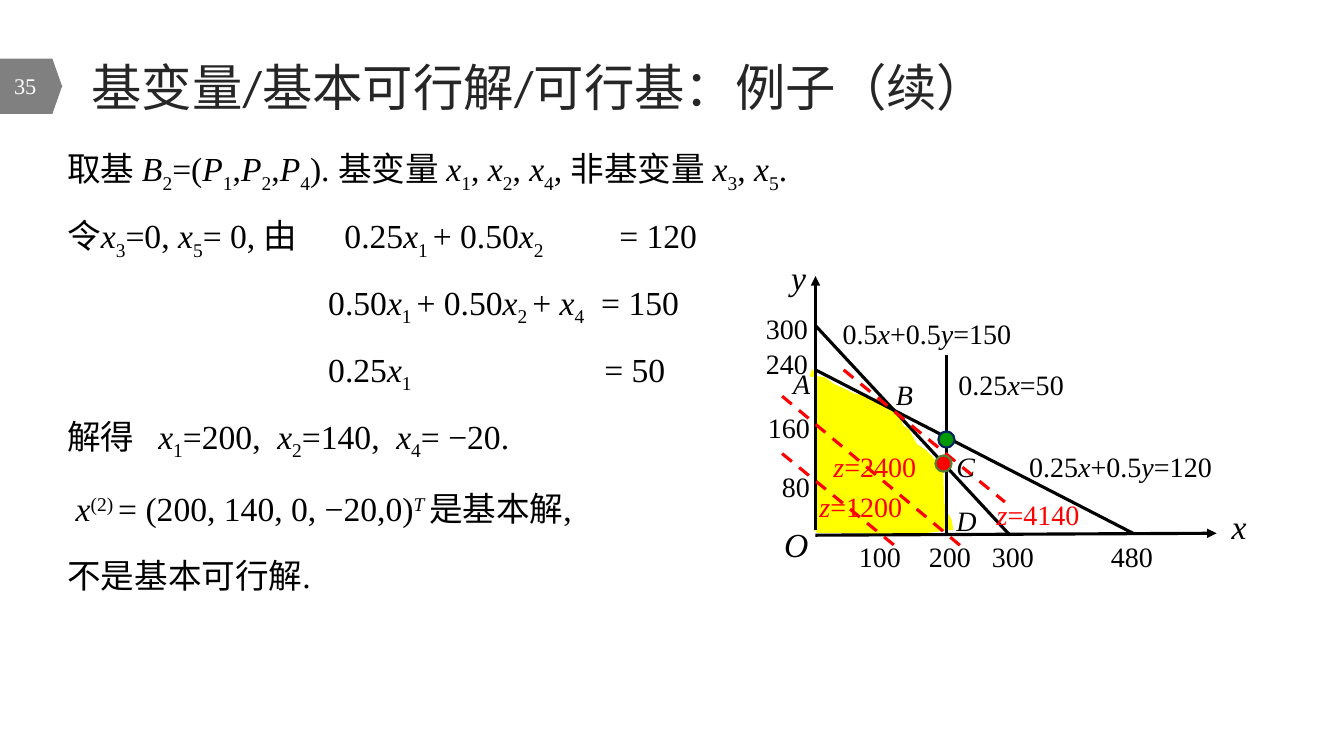
from dataclasses import dataclass

from lxml import etree
from pptx import Presentation
from pptx.dml.color import RGBColor
from pptx.enum import dml, shapes, text
from pptx.oxml.ns import qn
from pptx.util import Pt

BLACK = RGBColor(0x00, 0x00, 0x00)
WHITE = RGBColor(0xFF, 0xFF, 0xFF)
RED = RGBColor(0xFF, 0x00, 0x00)
YELLOW = RGBColor(0xFF, 0xFF, 0x00)
GREEN = RGBColor(0x00, 0x99, 0x00)
OLIVE = RGBColor(0x54, 0x82, 0x35)
NAVY = RGBColor(0x00, 0x20, 0x60)
GREY = RGBColor(0x80, 0x80, 0x80)
CHARCOAL = RGBColor(0x26, 0x26, 0x26)
SERIF = "Times New Roman"
BASELINES = {"~": "-25000", "^": "30000"}


@dataclass
class Label:
    markup: str
    left: float
    top: float
    width: float = 40
    size: float = 20
    color: RGBColor = BLACK


@dataclass
class Segment:
    x1: float
    y1: float
    x2: float
    y2: float
    color: RGBColor = BLACK
    dashed: bool = False
    arrow: bool = False


@dataclass
class Row:
    markup: str
    tabs: tuple[float, ...] = ()
    indent: float = 0


@dataclass
class Dot:
    left: float
    top: float
    fill: RGBColor
    line: RGBColor


def write(p, markup: str, size: float, color: RGBColor, font: str = SERIF) -> None:
    """Add runs; * toggles italic, ~ subscript and ^ superscript."""
    italic, level, piece = False, "", ""
    for ch in markup + "~":
        if ch not in "*~^":
            piece += ch
            continue
        if piece:
            r = p.add_run()
            r.text = piece
            r.font.size, r.font.name, r.font.italic = Pt(size), font, italic
            r.font.color.rgb = color
            if level:
                r.font._element.set("baseline", BASELINES[level])
            piece = ""
        if ch == "*":
            italic = not italic
        else:
            level = "" if level == ch else ch


def add_box(s, left: float, top: float, width: float, height: float, anchor=text.MSO_ANCHOR.TOP):
    tf = s.shapes.add_textbox(Pt(left), Pt(top), Pt(width), Pt(height)).text_frame
    tf.word_wrap = True
    tf.vertical_anchor = anchor
    return tf


def add_rows(tf, rows: list[Row]) -> None:
    for i, row in enumerate(rows):
        p = tf.paragraphs[0] if i == 0 else tf.add_paragraph()
        p.line_spacing, p.space_before = Pt(32.7), Pt(15)
        pPr = p._p.get_or_add_pPr()
        if row.indent:
            pPr.set("marL", str(Pt(row.indent)))
        if row.tabs:
            stops = etree.SubElement(pPr, qn("a:tabLst"))
            for pos in row.tabs:
                etree.SubElement(stops, qn("a:tab"), pos=str(Pt(pos)), algn="l")
        write(p, row.markup, 24, BLACK)


def add_label(s, label: Label) -> None:
    p = add_box(s, label.left, label.top, label.width, label.size * 1.5).paragraphs[0]
    p.line_spacing = 1.08
    write(p, label.markup, label.size, label.color)


def add_segment(s, seg: Segment) -> None:
    c = s.shapes.add_connector(shapes.MSO_CONNECTOR.STRAIGHT,
                               Pt(seg.x1), Pt(seg.y1), Pt(seg.x2), Pt(seg.y2))
    c.line.color.rgb, c.line.width = seg.color, Pt(2.25)
    if seg.dashed:
        c.line.dash_style = dml.MSO_LINE.DASH
    if seg.arrow:
        etree.SubElement(c.line._get_or_add_ln(), qn("a:tailEnd"), type="triangle")
    etree.SubElement(c._element.spPr, qn("a:effectLst"))


def add_outline(s, points: list[tuple[float, float]], fill: RGBColor):
    (x, y), *rest = [(Pt(a), Pt(b)) for a, b in points]
    fb = s.shapes.build_freeform(x, y)
    fb.add_line_segments(rest, close=True)
    sp = fb.convert_to_shape()
    sp.shadow.inherit = False
    sp.fill.solid()
    sp.fill.fore_color.rgb = fill
    sp.line.fill.background()
    return sp


def add_dot(s, dot: Dot) -> None:
    sp = s.shapes.add_shape(shapes.MSO_SHAPE.OVAL, Pt(dot.left), Pt(dot.top), Pt(11.5), Pt(11.5))
    sp.shadow.inherit = False
    sp.fill.solid()
    sp.fill.fore_color.rgb = dot.fill
    sp.line.color.rgb, sp.line.width = dot.line, Pt(1.5)


TAG = [(0, 41.8), (37.4, 41.8), (44, 60.5), (44.6, 61.5), (44, 62.6), (37.4, 81.4), (0, 81.4)]
FEASIBLE_REGION = [
    (579, 268.5), (580.3, 264.2), (581.8, 267.8), (583.9, 315.4), (582.5, 346.3),
    (581.8, 350), (582.5, 378.7), (584, 380.2), (607, 380.2), (645.8, 381.6),
    (662.4, 380.2), (680.4, 378), (679, 370.8), (676.8, 367.2), (674, 359.3),
    (673.2, 334.8), (666.7, 327.6), (661, 321.8), (654.5, 317.5), (648.7, 306.7),
    (645, 304.6), (642.2, 298), (638.6, 294.5), (638, 291), (630, 288.7),
    (626.4, 285.8), (618.5, 283.7), (609.8, 281.5), (602.6, 278), (594.7, 274.3),
    (589, 270)]
ROWS = [
    Row("取基 *B*~2~=(*P*~1~,*P*~2~,*P*~4~). 基变量 *x*~1~, *x*~2~, *x*~4~, 非基变量 *x*~3~, *x*~5~."),
    Row("令*x*~3~=0, *x*~5~= 0, 由\t0.25*x*~1 ~+ 0.50*x*~2~\t= 120", (198, 394.3)),
    Row("\t0.50*x*~1 ~+ 0.50*x*~2 ~+ *x*~4~\t= 150", (186.4, 381.4)),
    Row("\t0.25*x*~1~\t= 50", (186.4, 383.6)),
    Row("解得\t*x*~1~=200,\t*x*~2~=140,\t*x*~4~= −20.", (65, 150, 235)),
    Row("*x*^(2) ^= (200, 140, 0, −20,0)*^T ^*是基本解,", indent=6),
    Row("不是基本可行解."),
]
SEGMENTS = [
    Segment(582.5, 382.3, 869, 380.9, arrow=True),
    Segment(582.5, 378.7, 582.5, 197.3, arrow=True),
    Segment(582.5, 264.2, 809.3, 380.9),
    Segment(582.5, 232.6, 721.4, 382.3),
    Segment(676, 382.3, 676, 253.4),
    Segment(558.7, 324, 641.5, 391.7, RED, dashed=True),
    Segment(558.7, 283, 688.3, 391.7, RED, dashed=True),
    Segment(602.6, 264.2, 717.8, 358.6, RED, dashed=True),
]
X_TICKS = [("100", 606.4), ("200", 656.4), ("300", 701.4), ("480", 786.4)]
Y_TICKS = [("300", 540, 217.4), ("240", 540, 242), ("160", 541.4, 288), ("80", 551.5, 329.8)]
LABELS = [
    Label("*z*=4140", 704.9, 350, 80, color=RED),
    Label("0.25*x*+0.5*y*=120", 728, 315.4, 155),
    Label("0.5*x*+0.5*y*=150", 594.7, 220.3, 148),
    Label("*O*", 553, 368.6, size=24),
    Label("*x*", 872.6, 355.7, size=24),
    Label("*y*", 558, 177.8, size=24),
    Label("*A*", 559.4, 256.3),
    Label("*B*", 632.9, 264.2),
    Label("*C*", 676, 315.4),
    Label("*D*", 676, 354.2),
    *(Label(tick, left, 380.2, 50) for tick, left in X_TICKS),
    *(Label(tick, left, top, 50) for tick, left, top in Y_TICKS),
    Label("*z*=1200", 578.2, 344.2, 80, color=RED),
    Label("*z*=2400", 588.2, 315.4, 88, color=RED),
    Label("0.25*x*=50", 677.5, 257, 104),
]
DOTS = [Dot(668.2, 325.4, RED, OLIVE), Dot(670.3, 308.2, GREEN, NAVY)]


def main() -> None:
    prs = Presentation()
    prs.slide_width, prs.slide_height = Pt(960), Pt(540)
    s = prs.slides.add_slide(prs.slide_layouts[6])

    # Heading and slide number
    add_outline(s, TAG, GREY)
    title = add_box(s, 58.3, 33.8, 786, 55.4, text.MSO_ANCHOR.MIDDLE)
    write(title.paragraphs[0], "基变量/基本可行解/可行基：例子（续）", 36, CHARCOAL, "Calibri")
    number = add_box(s, 0, 46.8, 33.1, 28.8, text.MSO_ANCHOR.MIDDLE)
    number.paragraphs[0].alignment = text.PP_ALIGN.RIGHT
    write(number.paragraphs[0], "35", 16, WHITE)

    # Derivation
    add_rows(add_box(s, 41, 102.5, 892.8, 381), ROWS)

    # Feasible region, constraint lines and labels
    region = add_outline(s, FEASIBLE_REGION, YELLOW)
    region.line.color.rgb, region.line.width = YELLOW, Pt(1)
    for seg in SEGMENTS:
        add_segment(s, seg)
    for label in LABELS:
        add_label(s, label)
    for dot in DOTS:
        add_dot(s, dot)
    prs.save("out.pptx")


if __name__ == "__main__":
    main()
